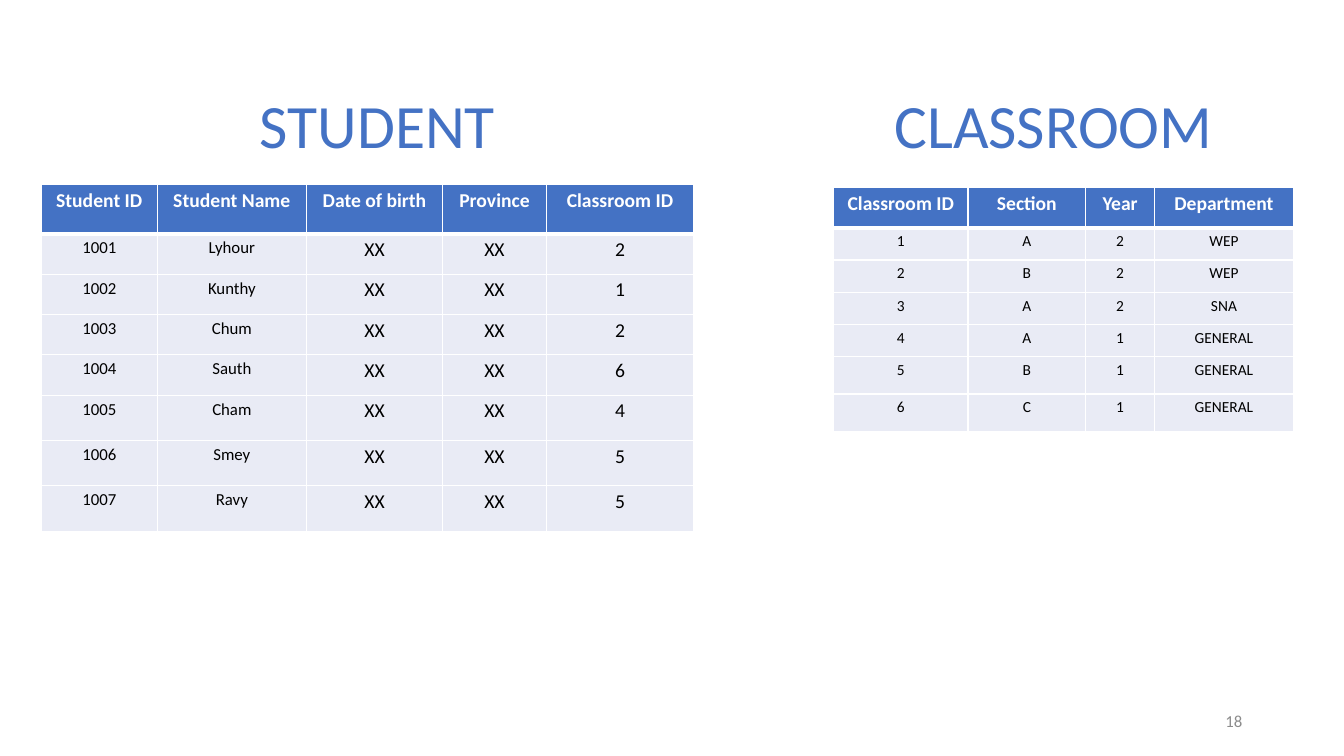
"""Build a slide with the STUDENT and CLASSROOM tables."""
from dataclasses import dataclass

from lxml import etree
from pptx import Presentation
from pptx import util as u
from pptx.dml import color
from pptx.enum import text
from pptx.oxml import ns

BLUE, PALE, WHITE, BLACK, GREY = "4472C4", "E9EBF5", "FFFFFF", "000000", "8C8C8C"
CENTER, RIGHT = text.PP_ALIGN.CENTER, text.PP_ALIGN.RIGHT
TOP, MIDDLE = text.MSO_ANCHOR.TOP, text.MSO_ANCHOR.MIDDLE
CELL_MARGINS = {
    "margin_left": u.Inches(0.08), "margin_right": u.Inches(0.08),
    "margin_top": u.Inches(0.04), "margin_bottom": u.Inches(0.04),
}


@dataclass
class Label:
    words: str
    place: tuple[float, float, float, float]
    size: int
    ink: str
    align: text.PP_ALIGN = CENTER
    anchor: text.MSO_ANCHOR = TOP


@dataclass
class Grid:
    left: float
    top: float
    widths: list[float]
    heights: list[float]
    sizes: list[int]
    header: list[str]
    records: list[list[str]]


LABELS = [
    Label("18", (9.42, 6.95, 3, 0.4), 12, GREY, RIGHT, MIDDLE),
    Label("STUDENT", (0.69, 0.81, 6.11, 0.84), 44, BLUE),
    Label("CLASSROOM", (8.17, 0.81, 4.56, 0.84), 44, BLUE),
]
STUDENTS = [
    ("Lyhour", "2"), ("Kunthy", "1"), ("Chum", "2"), ("Sauth", "6"),
    ("Cham", "4"), ("Smey", "5"), ("Ravy", "5"),
]
CLASSROOMS = [
    ("A", "2", "WEP"), ("B", "2", "WEP"), ("A", "2", "SNA"),
    ("A", "1", "GENERAL"), ("B", "1", "GENERAL"), ("C", "1", "GENERAL"),
]
GRIDS = [
    Grid(
        0.41, 1.83, [1.15, 1.48, 1.35, 1.03, 1.46],
        [0.49] + [0.4] * 4 + [0.45] * 3, [12, 12, 14, 14, 14],
        ["Student ID", "Student Name", "Date of birth", "Province", "Classroom ID"],
        [[str(number), name, "XX", "XX", room]
         for number, (name, room) in enumerate(STUDENTS, 1001)],
    ),
    Grid(
        8.27, 1.86, [1.33, 1.17, 0.68, 1.38],
        [0.4] + [0.32] * 4 + [0.37] * 2, [11] * 4,
        ["Classroom ID", "Section", "Year", "Department"],
        [[str(number), *details] for number, details in enumerate(CLASSROOMS, 1)],
    ),
]


def rgb(value: str) -> color.RGBColor:
    """Turn a hex string into a colour."""
    return color.RGBColor.from_string(value)


def set_all(target: object, values: dict) -> None:
    """Set every attribute named in the dict."""
    for name, value in values.items():
        setattr(target, name, value)


def write(frame, words: str, size: int, ink: str, align: text.PP_ALIGN, bold: bool = False) -> None:
    """Write one formatted paragraph."""
    para = frame.paragraphs[0]
    para.alignment = align
    span = para.add_run()
    span.text = words
    set_all(span.font, {"name": "Calibri", "size": u.Pt(size), "bold": bold})
    span.font.color.rgb = rgb(ink)


def add_label(page, label: Label) -> None:
    """Add a text box."""
    box = page.shapes.add_textbox(*map(u.Inches, label.place))
    set_all(box.text_frame, {"word_wrap": True, "vertical_anchor": label.anchor})
    write(box.text_frame, label.words, label.size, label.ink, label.align)


def add_borders(cell, top: int, bottom: int) -> None:
    """Draw white borders around a cell, with widths in points."""
    properties = cell._tc.get_or_add_tcPr()
    for side, width in {"L": 1, "R": 1, "T": top, "B": bottom}.items():
        line = etree.SubElement(properties, ns.qn(f"a:ln{side}"), w=str(u.Pt(width)))
        fill = etree.SubElement(line, ns.qn("a:solidFill"))
        etree.SubElement(fill, ns.qn("a:srgbClr"), val=WHITE)


def add_grid(page, grid: Grid) -> None:
    """Add a table with a blue header above pale rows."""
    rows = [grid.header, *grid.records]
    place = (grid.left, grid.top, sum(grid.widths), sum(grid.heights))
    table = page.shapes.add_table(len(rows), len(grid.widths), *map(u.Inches, place)).table
    for column, width in zip(table.columns, grid.widths):
        column.width = u.Inches(width)
    for row, height in zip(table.rows, grid.heights):
        row.height = u.Inches(height)
    for r, values in enumerate(rows):
        is_header = r == 0
        for c, words in enumerate(values):
            cell = table.cell(r, c)
            set_all(cell, CELL_MARGINS)
            add_borders(cell, 3 if r == 1 else 1, 3 if is_header else 1)
            cell.fill.solid()
            cell.fill.fore_color.rgb = rgb(BLUE if is_header else PALE)
            size, ink = (14, WHITE) if is_header else (grid.sizes[c], BLACK)
            write(cell.text_frame, words, size, ink, CENTER, is_header)


def main() -> None:
    """Build and save the deck."""
    deck = Presentation()
    set_all(deck, {"slide_width": u.Inches(13.33), "slide_height": u.Inches(7.5)})
    page = deck.slides.add_slide(deck.slide_layouts[6])
    for grid in GRIDS:
        add_grid(page, grid)
    for label in LABELS:
        add_label(page, label)
    deck.save("out.pptx")


if __name__ == "__main__":
    main()
